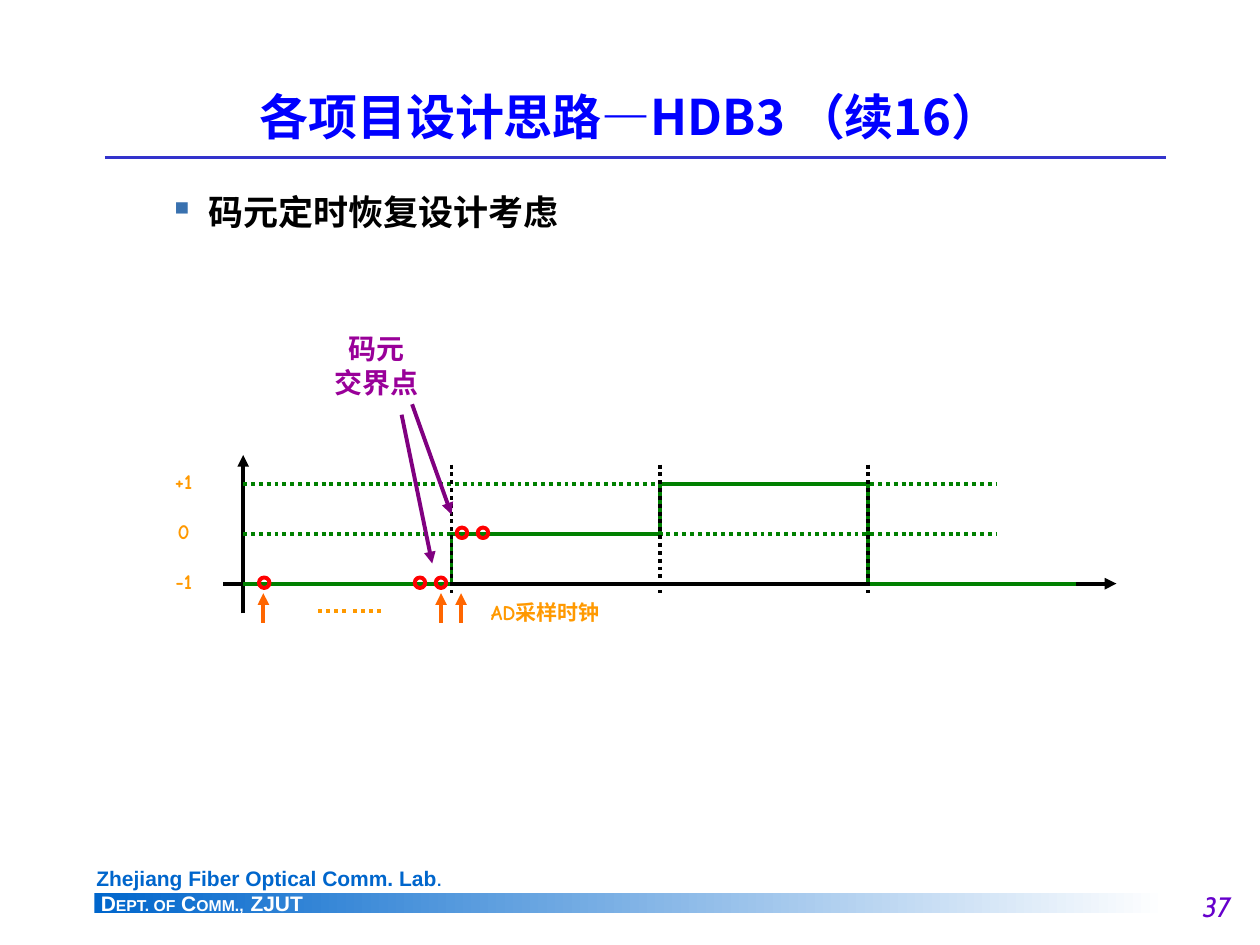
from dataclasses import dataclass

from lxml import etree
from pptx import Presentation
from pptx.dml.color import RGBColor
from pptx.enum.dml import MSO_LINE
from pptx.enum.shapes import MSO_CONNECTOR, MSO_SHAPE
from pptx.enum.text import MSO_ANCHOR, MSO_AUTO_SIZE, PP_ALIGN
from pptx.oxml.ns import qn
from pptx.util import Pt

STRAIGHT = MSO_CONNECTOR.STRAIGHT
DOTTED = MSO_LINE.ROUND_DOT
LEFT, CENTER, RIGHT = PP_ALIGN.LEFT, PP_ALIGN.CENTER, PP_ALIGN.RIGHT


@dataclass(frozen=True)
class Theme:
    title: str = "0000FF"
    rule: str = "3333CC"
    footer: str = "0066CC"
    white: str = "FFFFFF"
    black: str = "000000"
    number: str = "6600CC"
    bullet: str = "3971AF"
    signal: str = "008000"
    sample: str = "FF0000"
    clock: str = "FF6600"
    label: str = "FF9900"
    boundary: str = "990099"
    pointer: str = "800080"
    title_size: int = 28
    body_size: int = 20
    note_size: int = 16
    label_size: int = 12
    small_size: int = 9
    line_width: float = 2.25
    cjk: str = "Noto Sans CJK SC"
    latin: str = "Comic Neue"
    footer_font: str = "Arial"
    number_font: str = "Cabin"


theme = Theme()

prs = Presentation()
prs.slide_width, prs.slide_height = Pt(720), Pt(540)
slide = prs.slides.add_slide(prs.slide_layouts[5])
shapes = slide.shapes


def add_line(x1, y1, x2, y2, color, dash=None, arrow=False):
    line = shapes.add_connector(STRAIGHT, Pt(x1), Pt(y1), Pt(x2), Pt(y2))
    line.line.color.rgb = RGBColor.from_string(color)
    line.line.width = Pt(theme.line_width)
    if dash:
        line.line.dash_style = dash
    if arrow:
        etree.SubElement(line.line._get_or_add_ln(), qn("a:tailEnd"), type="triangle")
    etree.SubElement(line._element.spPr, qn("a:effectLst"))


def add_text(x, y, w, h, lines, size, color, font=theme.latin, align=CENTER,
             bold=True, italic=False):
    """Each line is a list of (text, own size or None) runs."""
    box = shapes.add_textbox(Pt(x), Pt(y), Pt(w), Pt(h))
    frame = box.text_frame
    frame.word_wrap = True
    for index, runs in enumerate(lines):
        paragraph = frame.paragraphs[0] if index == 0 else frame.add_paragraph()
        paragraph.alignment = align
        paragraph.font.size = Pt(size)
        paragraph.font.name = font
        paragraph.font.bold = bold
        paragraph.font.italic = italic
        paragraph.font.color.rgb = RGBColor.from_string(color)
        for text, own_size in runs:
            run = paragraph.add_run()
            run.text = text
            if own_size:
                run.font.size = Pt(own_size)
    return frame


# Title and the rule under it
title = shapes.title
title.left, title.top, title.width, title.height = Pt(54), Pt(42), Pt(612), Pt(48)
title.text_frame.text = "各项目设计思路—HDB3 （续16）"
title.text_frame.auto_size = MSO_AUTO_SIZE.NONE
title.text_frame.vertical_anchor = MSO_ANCHOR.MIDDLE
heading = title.text_frame.paragraphs[0]
heading.alignment = CENTER
heading.font.size = Pt(theme.title_size)
heading.font.name = theme.cjk
heading.font.bold = True
heading.font.color.rgb = RGBColor.from_string(theme.title)
add_line(60, 90, 666, 90, theme.rule)

# Footer and page number
band = shapes.add_shape(MSO_SHAPE.RECTANGLE, Pt(54), Pt(510), Pt(612.5), Pt(12))
band.shadow.inherit = False
band.line.fill.background()
band.fill.gradient()
band.fill.gradient_angle = 0
for stop, color in zip(band.fill.gradient_stops, (theme.footer, theme.white)):
    stop.color.rgb = RGBColor.from_string(color)
small = theme.small_size
add_text(48, 491, 240, 22, [[("Zhejiang Fiber Optical Comm. Lab", None), (".", small)]],
         theme.label_size, theme.footer, theme.footer_font, LEFT)
add_text(50.5, 503.5, 150, 24,
         [[("D", None), ("EPT. OF", small), (" C", None), ("OMM.,", small),
           (" ", 14), ("ZJUT", None)]],
         theme.label_size, theme.white, theme.footer_font, LEFT)
add_text(600, 505, 110, 29, [[("37", None)]], theme.note_size, theme.number,
         theme.number_font, RIGHT, bold=False, italic=True)

# Bulleted topic
topic = add_text(54, 106, 611, 40, [[("码元定时恢复设计考虑", None)]],
                 theme.body_size, theme.black, align=LEFT)
topic.margin_left = topic.margin_right = Pt(6.5)
topic.margin_top = topic.margin_bottom = Pt(3)
topic_props = topic.paragraphs[0]._p.get_or_add_pPr()
topic_props.set("marL", str(Pt(58.5)))
topic_props.set("indent", str(-Pt(22.5)))
bullet_color = etree.Element(qn("a:buClr"))
etree.SubElement(bullet_color, qn("a:srgbClr"), val=theme.bullet)
bullet_char = etree.Element(qn("a:buChar"), char="▪")
topic_props.insert(0, bullet_color)
topic_props.insert(1, bullet_char)

# Signal grid: symbol boundaries across, levels down
bounds = [139 + 119 * i for i in range(5)]
plus, zero, minus = levels = [276.5 + 28.5 * i for i in range(3)]

# Axes
add_line(bounds[0], 350.5, bounds[0], 260, theme.black, arrow=True)
add_line(127.5, minus, 638, minus, theme.black, arrow=True)

# Signal: one level per symbol, with steps between them
symbols = [minus, zero, plus, minus]
for start, end, level in zip(bounds, bounds[1:], symbols):
    add_line(start, level, end, level, theme.signal)
for x, before, after in zip(bounds[1:], symbols, symbols[1:]):
    add_line(x, before, x, after, theme.signal)

# Dotted level and boundary guides
for level in (plus, zero):
    add_line(bounds[0], level, 569.5, level, theme.signal, DOTTED)
for x in bounds[1:4]:
    add_line(x, 265.5, x, 339, theme.black, DOTTED)

# Level labels
for level, name in zip(levels, ("+1", "0", "-1")):
    add_text(88, level - 12.25, 34, 22, [[(name, None)]], theme.label_size, theme.label)

# Sample points
for x, level in ((151, minus), (240, minus), (252, minus), (264, zero), (276, zero)):
    point = shapes.add_shape(MSO_SHAPE.OVAL, Pt(x - 3), Pt(level - 3.5), Pt(6), Pt(6))
    point.shadow.inherit = False
    point.fill.background()
    point.line.color.rgb = RGBColor.from_string(theme.sample)
    point.line.width = Pt(theme.line_width)

# Sampling clock
for x in (150.5, 252, 263.5):
    add_line(x, 356, x, 339, theme.clock, arrow=True)
for x in (182, 202):
    add_line(x, 349, x + 17, 349, theme.label, DOTTED)
add_text(269, 339, 85, 22, [[("AD采样时钟", None)]], theme.label_size, theme.label)

# Symbol boundary note and its pointers
add_text(178.5, 186, 73.5, 46, [[("码元", None)], [("交界点", None)]],
         theme.note_size, theme.boundary)
add_line(229.5, 237, 247, 322, theme.pointer, arrow=True)
add_line(235.5, 231, 258, 294, theme.pointer, arrow=True)

prs.save("out.pptx")
